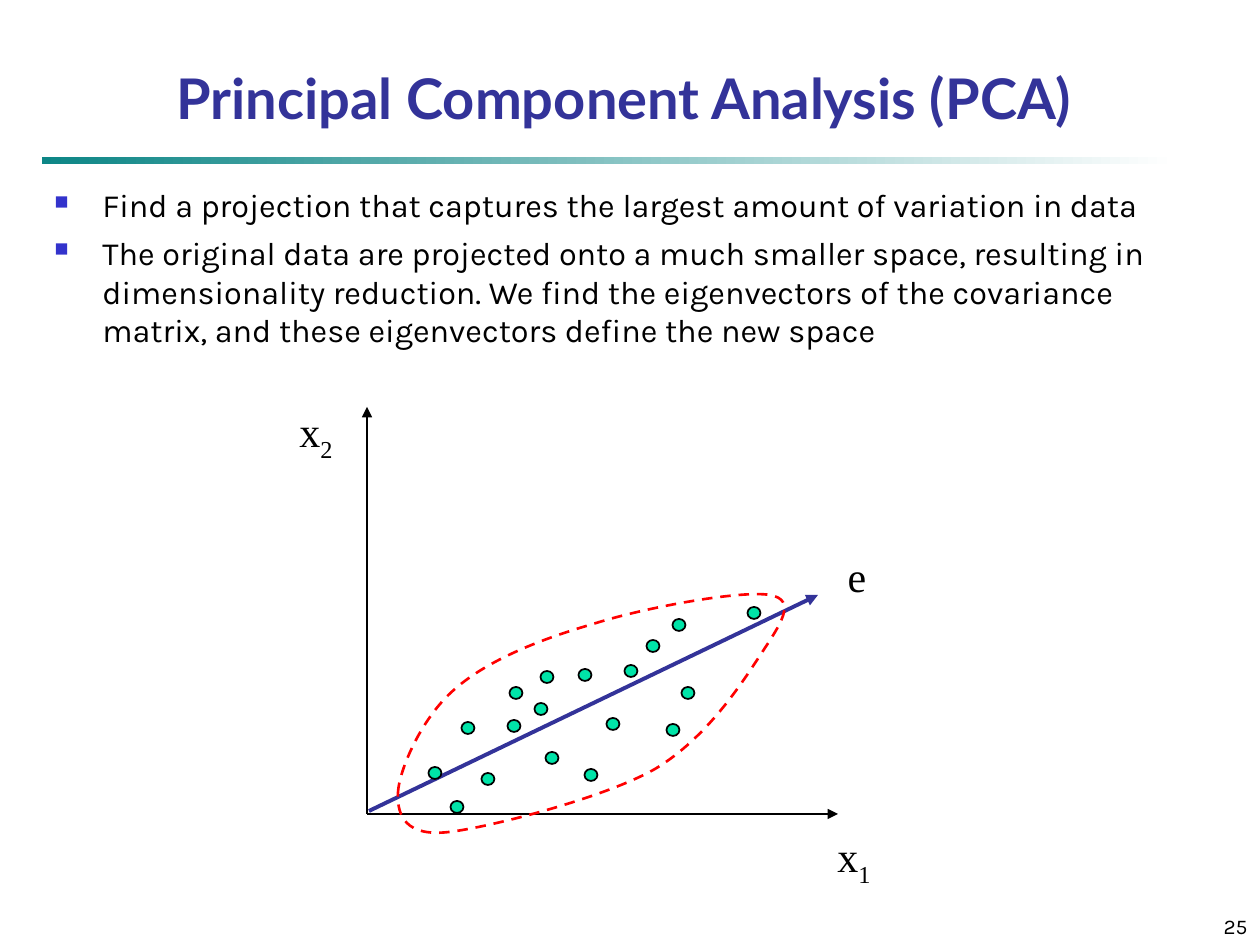
from lxml import etree
from pptx import Presentation
from pptx.dml.color import RGBColor
from pptx.enum.dml import MSO_LINE
from pptx.enum.shapes import MSO_CONNECTOR, MSO_SHAPE
from pptx.enum.text import MSO_ANCHOR, PP_ALIGN
from pptx.oxml.ns import qn
from pptx.util import Inches, Pt

LEFT, CENTER, RIGHT = PP_ALIGN.LEFT, PP_ALIGN.CENTER, PP_ALIGN.RIGHT
TOP, MIDDLE, BOTTOM = MSO_ANCHOR.TOP, MSO_ANCHOR.MIDDLE, MSO_ANCHOR.BOTTOM
OVAL, RECT = MSO_SHAPE.OVAL, MSO_SHAPE.RECTANGLE

SCALE = Inches(1) / 126
COLORS = {"ink": "000000", "title": "333399", "bullet": "3333CC", "teal": "0D8686",
          "white": "FFFFFF", "dot": "00E4A8", "red": "FF0000"}
HEAD, BODY, MATH = "Lato", "Karla", "Times New Roman"

TITLE = "Principal Component Analysis (PCA)"
POINTS = [
    "Find a projection that captures the largest amount of variation in data",
    "The original data are projected onto a much smaller space, resulting in "
    "dimensionality reduction. We find the eigenvectors of the covariance "
    "matrix, and these eigenvectors define the new space",
]
PAGE = "25"

# text, subscript, box
LABELS = [("x", "2", (287, 399, 58, 71)),
          ("x", "1", (825, 824, 58, 71)),
          ("e", "", (835, 544, 44, 63))]
# start, end, colour, points
ARROWS = [((367, 814), (367, 407), "ink", 1),
          ((367, 814), (838, 814), "ink", 1),
          ((369, 811), (818, 595), "title", 2.25)]
DOT = (13, 12)
DOTS = [(468, 728), (516, 693), (435, 773), (541, 709), (514, 726), (613, 724),
        (591, 775), (552, 758), (585, 675), (688, 693), (754, 613), (488, 779),
        (631, 671), (679, 625), (547, 677), (653, 646), (673, 730), (457, 807)]
# first point, then two control points and an end point for each curve
CLOUD = [(398, 793),
         (399, 770), (422, 717), (455, 689),
         (488, 660), (541, 639), (593, 624),
         (646, 607), (742, 590), (770, 595),
         (798, 600), (780, 625), (761, 654),
         (742, 683), (707, 738), (655, 769),
         (604, 798), (491, 827), (449, 832),
         (406, 837), (397, 816), (398, 793)]


def px(n):
    return round(n * SCALE)


def rgb(name):
    return RGBColor.from_string(COLORS[name])


def add_box(slide, box, anchor, wrap=True):
    frame = slide.shapes.add_textbox(*map(px, box)).text_frame
    frame.word_wrap = wrap
    frame.vertical_anchor = anchor
    return frame


def add_run(para, text, font, size, color="ink", bold=False):
    run = para.add_run()
    run.text = text
    run.font.name, run.font.size, run.font.bold = font, Pt(size), bold
    run.font.color.rgb = rgb(color)
    return run


def add_line(slide, start, end, color, width):
    line = slide.shapes.add_connector(MSO_CONNECTOR.STRAIGHT, *map(px, start + end))
    line.line.color.rgb = rgb(color)
    line.line.width = Pt(width)
    etree.SubElement(line.line._get_or_add_ln(), qn("a:tailEnd"), type="triangle")
    etree.SubElement(line._element.spPr, qn("a:effectLst"))


def add_bullet(para):
    props = para._p.get_or_add_pPr()
    props.set("marL", str(px(48)))
    props.set("indent", str(px(-48)))
    tint = etree.SubElement(props, qn("a:buClr"))
    etree.SubElement(tint, qn("a:srgbClr"), val=COLORS["bullet"])
    etree.SubElement(props, qn("a:buSzPct"), val="60000")
    etree.SubElement(props, qn("a:buChar"), char="■")


def add_cloud(slide):
    """Outline the data, turning each three straight steps into one curve."""
    build = slide.shapes.build_freeform(*CLOUD[0], scale=SCALE)
    build.add_line_segments(CLOUD[1:], close=True)
    shape = build.convert_to_shape()
    shape.shadow.inherit = False
    shape.fill.background()
    shape.line.color.rgb = rgb("red")
    shape.line.width = Pt(1.5)
    shape.line.dash_style = MSO_LINE.DASH
    steps = list(shape._element.iter(qn("a:lnTo")))
    for i in range(0, len(steps), 3):
        curve = etree.Element(qn("a:cubicBezTo"))
        steps[i].addprevious(curve)
        for step in steps[i:i + 3]:
            curve.append(step[0])
            step.getparent().remove(step)


def main():
    deck = Presentation()
    deck.slide_width, deck.slide_height = Inches(10), Inches(7.5)
    slide = deck.slides.add_slide(deck.slide_layouts[6])

    rule = slide.shapes.add_shape(RECT, *map(px, (42, 157, 1134, 7)))
    rule.shadow.inherit = False
    rule.line.fill.background()
    rule.fill.gradient()
    rule.fill.gradient_angle = 0
    for stop, place, name in zip(rule.fill.gradient_stops, (0, 1), ("teal", "white")):
        stop.position = place
        stop.color.rgb = rgb(name)

    for box, anchor, align, look in [
        ((21, 21, 1207, 116), BOTTOM, CENTER, (TITLE, HEAD, 32, "title", True)),
        ((998, 892, 262, 53), BOTTOM, RIGHT, (PAGE, BODY, 12)),
    ]:
        para = add_box(slide, box, anchor).paragraphs[0]
        para.alignment = align
        add_run(para, *look)

    body = add_box(slide, (42, 179, 1155, 221), TOP)
    for i, text in enumerate(POINTS):
        para = body.add_paragraph() if i else body.paragraphs[0]
        para.alignment = LEFT
        para.line_spacing = 1.0
        para.space_before = Pt(5)
        add_bullet(para)
        add_run(para, text, BODY, 18.5)

    for arrow in ARROWS:
        add_line(slide, *arrow)
    add_cloud(slide)
    wide, high = DOT
    for x, y in DOTS:
        dot = slide.shapes.add_shape(
            OVAL, *map(px, (x - wide / 2, y - high / 2, wide, high)))
        dot.shadow.inherit = False
        dot.fill.solid()
        dot.fill.fore_color.rgb = rgb("dot")
        dot.line.color.rgb = rgb("ink")
        dot.line.width = Pt(1)

    for text, sub, box in LABELS:
        para = add_box(slide, box, MIDDLE, wrap=False).paragraphs[0]
        para.alignment = CENTER
        add_run(para, text, MATH, 24)
        if sub:
            low = add_run(para, sub, MATH, 24)
            low.font._element.set("baseline", "-25000")

    deck.save("out.pptx")


if __name__ == "__main__":
    main()
